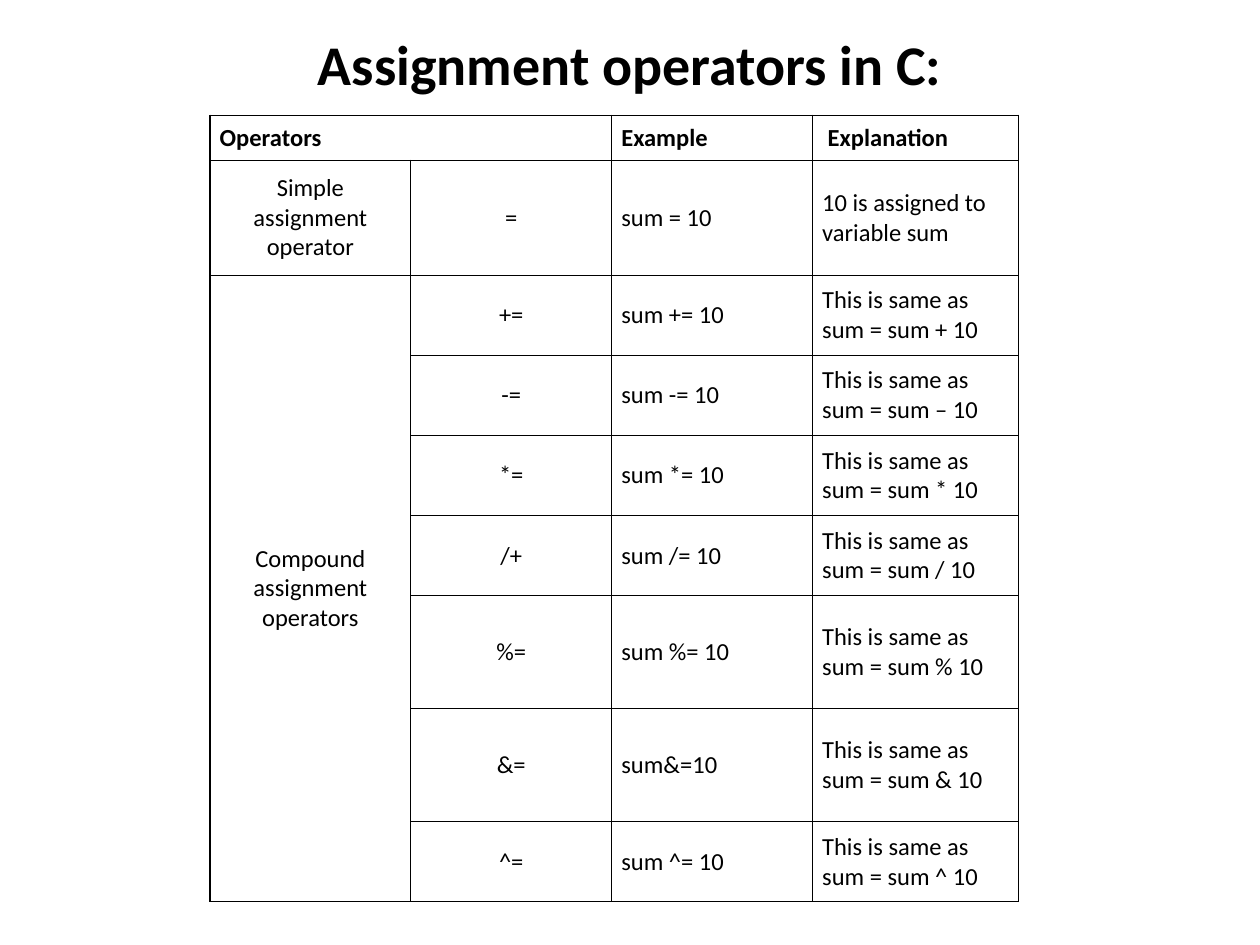
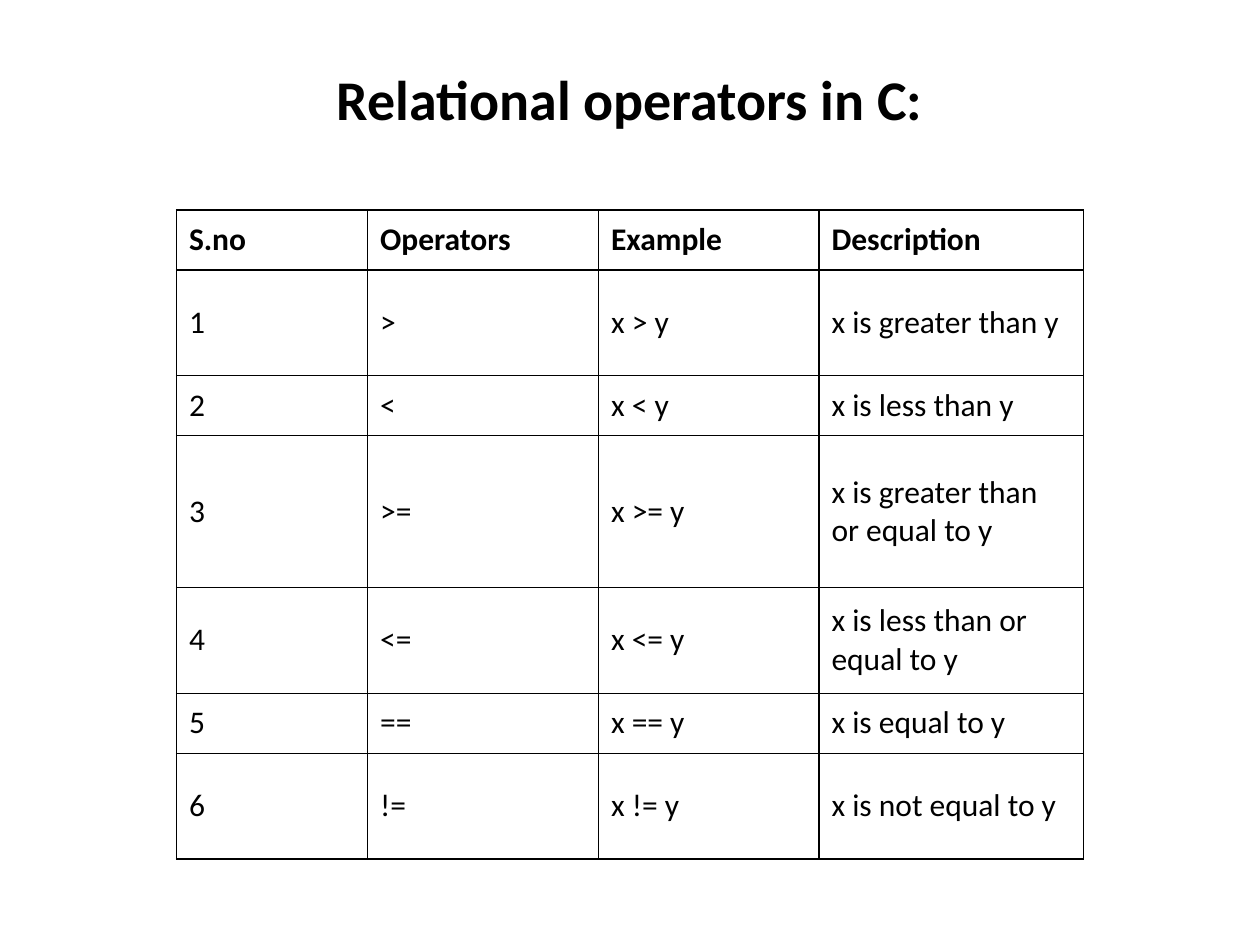
from lxml import etree
from pptx import Presentation
from pptx.dml.color import RGBColor
from pptx.enum import text
from pptx.oxml import ns
from pptx.util import Pt

# Shared style
FONT = "Calibri"
INK = "000000"
MID = text.MSO_ANCHOR.MIDDLE
LEFT = text.PP_ALIGN.LEFT
CENTER = text.PP_ALIGN.CENTER

# Assignment operators: symbol, example, explanation
ASSIGN = [
    ("=", "sum = 10", "10 is assigned to variable sum"),
    ("+=", "sum += 10", "This is same as sum = sum + 10"),
    ("-=", "sum -= 10", "This is same as sum = sum – 10"),
    ("*=", "sum *= 10", "This is same as sum = sum * 10"),
    ("/+", "sum /= 10", "This is same as sum = sum / 10"),
    ("%=", "sum %= 10", "This is same as sum = sum % 10"),
    ("&=", "sum&=10", "This is same as sum = sum & 10"),
    ("^=", "sum ^= 10", "This is same as sum = sum ^ 10"),
]

# Relational operators: symbol, meaning
RELATE = [
    (">", "greater than"),
    ("<", "less than"),
    (">=", "greater than or equal to"),
    ("<=", "less than or equal to"),
    ("==", "equal to"),
    ("!=", "not equal to"),
]


def color(code):
    return RGBColor.from_string(code)


def write(frame, words, size, bold=False, align=LEFT):
    """Fill a text frame with one styled paragraph."""
    frame.text = words
    para = frame.paragraphs[0]
    para.alignment = align
    for run in para.runs:
        font = run.font
        font.name, font.size, font.bold = FONT, Pt(size), bold
        font.color.rgb = color(INK)


def add_title(slide, words, top, height):
    box = slide.shapes.add_textbox(Pt(36), Pt(top), Pt(648), Pt(height))
    frame = box.text_frame
    frame.word_wrap = True
    frame.vertical_anchor = MID
    write(frame, words, 32, True, CENTER)


def add_border(cell):
    props = cell._tc.get_or_add_tcPr()
    for side in ("lnL", "lnR", "lnT", "lnB"):
        line = etree.SubElement(props, ns.qn(f"a:{side}"), w=str(Pt(0.75)))
        fill = etree.SubElement(line, ns.qn("a:solidFill"))
        etree.SubElement(fill, ns.qn("a:srgbClr"), val=INK)


def add_grid(slide, left, top, cols, rows, data, size, pads, mid_cols=()):
    """Draw a ruled table; a cell of None stays empty for a merge."""
    frame = slide.shapes.add_table(len(rows), len(cols), Pt(left), Pt(top),
                                   Pt(sum(cols)), Pt(sum(rows)))
    grid = frame.table
    grid.first_row = grid.horz_banding = False
    for col, width in zip(grid.columns, cols):
        col.width = Pt(width)
    for row, height in zip(grid.rows, rows):
        row.height = Pt(height)
    for r, line in enumerate(data):
        for c, words in enumerate(line):
            cell = grid.cell(r, c)
            add_border(cell)
            cell.fill.background()
            cell.vertical_anchor = MID
            cell.margin_left = cell.margin_right = Pt(pads[0])
            cell.margin_top = cell.margin_bottom = Pt(pads[1])
            if words:
                align = CENTER if r and c in mid_cols else LEFT
                write(cell.text_frame, words, size, r == 0, align)
    return grid


def build_assign(slide):
    add_title(slide, "Assignment operators in C:", 6, 60)
    kinds = ["Simple assignment operator", "Compound assignment operators"]
    kinds += [None] * (len(ASSIGN) - len(kinds))
    data = [("Operators", None, "Example", "Explanation")]
    data += [(kind, *line) for kind, line in zip(kinds, ASSIGN)]
    rows = [25.8, 65.7] + [45.8] * 4 + [64.6] * 2 + [45.8]
    grid = add_grid(slide, 120, 65.8, [114.8] * 3 + [117.8], rows, data,
                    14, (5.5, 2.75), (0, 1))
    grid.cell(0, 0).merge(grid.cell(0, 1))
    grid.cell(2, 0).merge(grid.cell(len(ASSIGN), 0))
    grid.cell(0, 3).margin_left = Pt(8.7)


def build_relate(slide):
    add_title(slide, "Relational operators in C:", 21.6, 68.4)
    data = [("S.no", "Operators", "Example", "Description")]
    data += [(str(n), sign, f"x {sign} y", f"x is {words} y")
             for n, (sign, words) in enumerate(RELATE, 1)]
    rows = [34.3, 60.5, 34.3, 86.5, 60.5, 34.3, 60.5]
    add_grid(slide, 100.8, 120, [109.2, 132, 126, 151.2], rows, data,
             18, (7.2, 3.6))


def main():
    deck = Presentation()
    deck.slide_width, deck.slide_height = Pt(720), Pt(540)
    for build in (build_assign, build_relate):
        build(deck.slides.add_slide(deck.slide_layouts[6]))
    deck.save("out.pptx")


if __name__ == "__main__":
    main()
